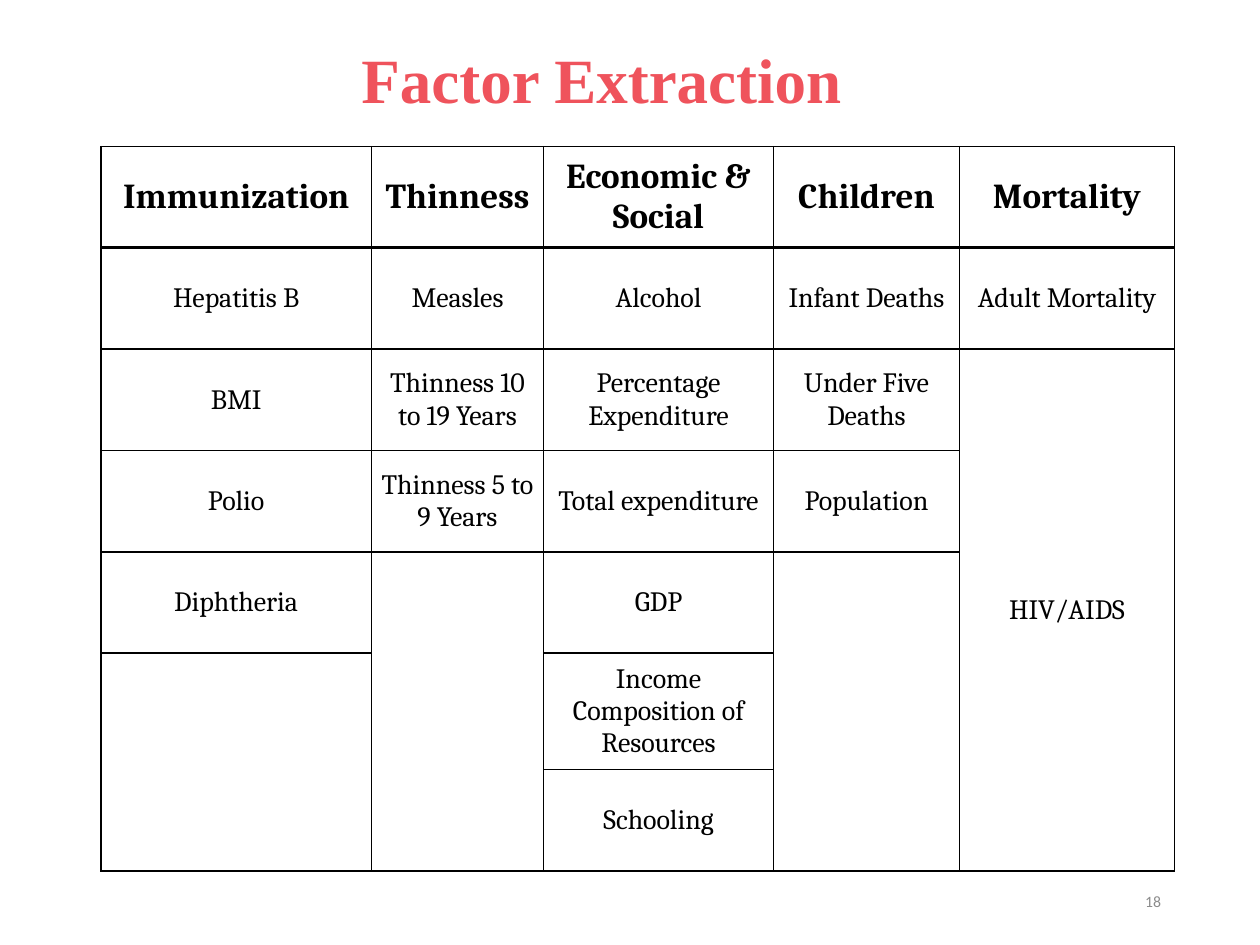
from dataclasses import dataclass

from lxml import etree
from pptx import Presentation
from pptx.dml.color import RGBColor
from pptx.enum.text import MSO_ANCHOR, MSO_AUTO_SIZE, PP_ALIGN
from pptx.oxml.ns import qn
from pptx.util import Pt

LEFT, CENTER, RIGHT = PP_ALIGN.LEFT, PP_ALIGN.CENTER, PP_ALIGN.RIGHT
TOP, MIDDLE = MSO_ANCHOR.TOP, MSO_ANCHOR.MIDDLE
GROW = MSO_AUTO_SIZE.SHAPE_TO_FIT_TEXT


@dataclass(frozen=True)
class Style:
    font: str
    size: float
    color: str
    bold: bool = False


@dataclass(frozen=True)
class Theme:
    title: Style = Style("Times New Roman", 36, "EF535C", True)
    header: Style = Style("Cambria", 20, "000000", True)
    body: Style = Style("Cambria", 16, "000000")
    number: Style = Style("Calibri", 9, "8C8C8C")
    border: str = "000000"
    thin: float = 1
    thick: float = 2


THEME = Theme()
COLUMN_WIDTHS = (154.5, 98.5, 131.3, 106.4, 122.8)
ROW_HEIGHTS = (57.9,) * 5 + (66.6, 57.9)
FACTORS = {
    "Immunization": ("Hepatitis B", "BMI", "Polio", "Diphtheria"),
    "Thinness": ("Measles", "Thinness 10 to 19 Years", "Thinness 5 to 9 Years"),
    "Economic & Social": (
        "Alcohol",
        "Percentage Expenditure",
        "Total expenditure",
        "GDP",
        "Income Composition of Resources",
        "Schooling",
    ),
    "Children": ("Infant Deaths", "Under Five Deaths", "Population"),
    "Mortality": ("Adult Mortality", "HIV/AIDS"),
}
MERGES = ((4, 1), (4, 3), (2, 4))
OPEN_EDGES = {(5, 0): "B", (6, 0): "T"}


def add_span(para, text, style):
    span = para.add_run()
    span.text = text
    span.font.name = style.font
    span.font.size = Pt(style.size)
    span.font.bold = style.bold
    span.font.color.rgb = RGBColor.from_string(style.color)


def add_text(page, bounds, text, style, align=LEFT, anchor=TOP):
    box = page.shapes.add_textbox(*map(Pt, bounds))
    box.text_frame.word_wrap = True
    box.text_frame.vertical_anchor = anchor
    para = box.text_frame.paragraphs[0]
    para.alignment = align
    add_span(para, text, style)
    return box


def add_title(page):
    box = add_text(page, (199.5, 16.5, 321, 50.5), "Factor Extraction", THEME.title)
    box.text_frame.auto_size = GROW
    para = box.text_frame.paragraphs[0]
    para.line_spacing = 1.07
    para.space_after = Pt(8)


def add_border(cell, side, width):
    properties = cell._tc.get_or_add_tcPr()
    line = etree.SubElement(properties, qn(f"a:ln{side}"), w=str(Pt(width)))
    if width:
        fill = etree.SubElement(line, qn("a:solidFill"))
        etree.SubElement(fill, qn("a:srgbClr"), val=THEME.border)
    else:
        etree.SubElement(line, qn("a:noFill"))


def border_width(row, column, side):
    if OPEN_EDGES.get((row, column)) == side:
        return 0
    under_header = (row, side) in ((0, "B"), (1, "T"))
    return THEME.thick if under_header else THEME.thin


def format_cell(cell, row, column):
    cell.vertical_anchor = MIDDLE
    cell.margin_left = cell.margin_right = Pt(5)
    cell.margin_top = cell.margin_bottom = Pt(3)
    for side in "LRTB":
        add_border(cell, side, border_width(row, column, side))
    cell.fill.background()


def add_factor_table(page):
    frame = page.shapes.add_table(
        len(ROW_HEIGHTS), len(COLUMN_WIDTHS), Pt(57.7), Pt(83.8),
        Pt(sum(COLUMN_WIDTHS)), Pt(sum(ROW_HEIGHTS)),
    )
    table = frame.table
    table.first_row = table.horz_banding = False
    for column, width in zip(table.columns, COLUMN_WIDTHS):
        column.width = Pt(width)
    for row, height in zip(table.rows, ROW_HEIGHTS):
        row.height = Pt(height)

    for row in range(len(ROW_HEIGHTS)):
        for column in range(len(COLUMN_WIDTHS)):
            format_cell(table.cell(row, column), row, column)
    for row, column in MERGES:
        table.cell(row, column).merge(table.cell(len(ROW_HEIGHTS) - 1, column))

    for column, (heading, items) in enumerate(FACTORS.items()):
        for row, text in enumerate((heading, *items)):
            para = table.cell(row, column).text_frame.paragraphs[0]
            para.alignment = CENTER
            add_span(para, text, THEME.body if row else THEME.header)


def main():
    deck = Presentation()
    deck.slide_width, deck.slide_height = Pt(720), Pt(540)
    page = deck.slides.add_slide(deck.slide_layouts[6])
    add_factor_table(page)
    add_title(page)
    add_text(page, (508.5, 500.5, 162, 28.8), "18", THEME.number, RIGHT, MIDDLE)
    deck.save("out.pptx")


if __name__ == "__main__":
    main()
